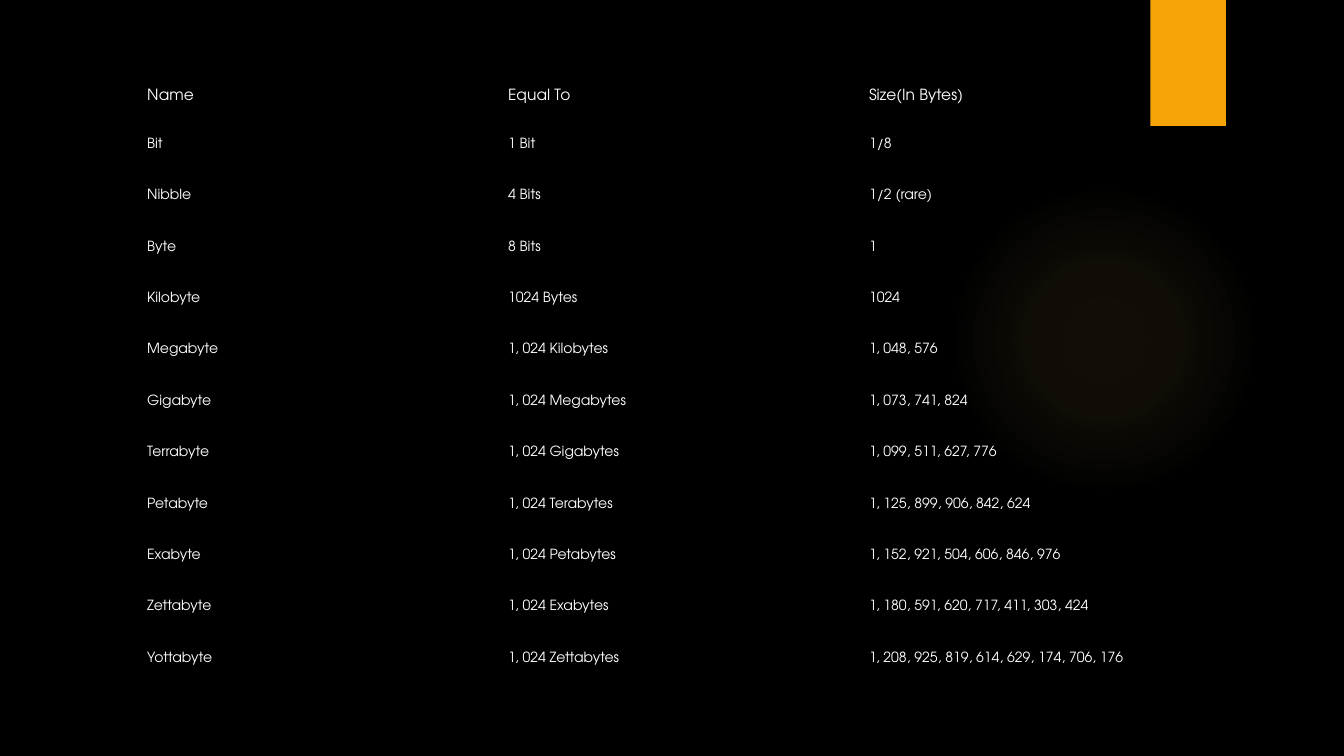
from pptx import Presentation
from pptx.dml.color import RGBColor
from pptx.enum.shapes import MSO_SHAPE as Shape
from pptx.enum.text import MSO_ANCHOR as Anchor
from pptx.oxml import parse_xml
from pptx.oxml.ns import nsdecls, qn
from pptx.util import Inches, Pt

BLACK = RGBColor(0x00, 0x00, 0x00)
WHITE = RGBColor(0xFF, 0xFF, 0xFF)
ORANGE = RGBColor(0xF5, 0xA4, 0x08)
GLOW = RGBColor(0xFA, 0xC9, 0x6A)
NO_STYLE_NO_GRID = "{2D5ABB26-0587-4C30-8999-92F81FD0307C}"

UNITS = [
    ("Name", "Equal To", "Size(In Bytes)"),
    ("Bit", "1 Bit", "1/8"),
    ("Nibble", "4 Bits", "1/2 (rare)"),
    ("Byte", "8 Bits", "1"),
    ("Kilobyte", "1024 Bytes", "1024"),
    ("Megabyte", "1, 024 Kilobytes", "1, 048, 576"),
    ("Gigabyte", "1, 024 Megabytes", "1, 073, 741, 824"),
    ("Terrabyte", "1, 024 Gigabytes", "1, 099, 511, 627, 776"),
    ("Petabyte", "1, 024 Terabytes", "1, 125, 899, 906, 842, 624"),
    ("Exabyte", "1, 024 Petabytes", "1, 152, 921, 504, 606, 846, 976"),
    ("Zettabyte", "1, 024 Exabytes", "1, 180, 591, 620, 717, 411, 303, 424"),
    ("Yottabyte", "1, 024 Zettabytes", "1, 208, 925, 819, 614, 629, 174, 706, 176"),
]


class SlideBuilder:
    font = "TeX Gyre Adventor"
    header_size, body_size = Pt(11), Pt(10)
    header_height, body_height = Inches(0.45), Inches(0.51)
    side_inset = header_inset = Inches(0.08)
    body_inset = Inches(0.12)

    def __init__(self, slide):
        self.slide = slide

    def background(self, color):
        fill = self.slide.background.fill
        fill.solid()
        fill.fore_color.rgb = color

    def block(self, kind, left, top, width, height, color):
        block = self.slide.shapes.add_shape(
            kind, Inches(left), Inches(top), Inches(width), Inches(height))
        block.shadow.inherit = False
        block.line.fill.background()
        block.fill.solid()
        block.fill.fore_color.rgb = color
        return block

    def glow(self, left, top, diameter, color, stops):
        """Circle whose colour fades outwards; stops are (position %, opacity %)."""
        circle = self.block(Shape.OVAL, left, top, diameter, diameter, color)
        stop_xml = "".join(
            f'<a:gs pos="{position * 1000}"><a:srgbClr val="{color}">'
            f'<a:alpha val="{opacity * 1000}"/></a:srgbClr></a:gs>'
            for position, opacity in stops)
        gradient = parse_xml(
            f'<a:gradFill {nsdecls("a")}><a:gsLst>{stop_xml}</a:gsLst>'
            '<a:path path="circle"><a:fillToRect l="50000" t="50000" '
            'r="50000" b="50000"/></a:path></a:gradFill>')
        properties = circle.element.spPr
        properties.replace(properties.find(qn("a:solidFill")), gradient)

    def table(self, left, top, column_width, rows):
        columns = len(rows[0])
        height = self.header_height + self.body_height * (len(rows) - 1)
        frame = self.slide.shapes.add_table(
            len(rows), columns, Inches(left), Inches(top),
            Inches(column_width * columns), height)
        table = frame.table
        table.first_row = table.horz_banding = False
        next(frame.element.iter(qn("a:tableStyleId"))).text = NO_STYLE_NO_GRID
        for column in table.columns:
            column.width = Inches(column_width)
        for index, values in enumerate(rows):
            is_header = index == 0
            table.rows[index].height = self.header_height if is_header else self.body_height
            for cell, value in zip(table.rows[index].cells, values):
                self.cell(cell, value, is_header)

    def cell(self, cell, value, is_header):
        cell.fill.background()
        cell.vertical_anchor = Anchor.MIDDLE
        cell.margin_left = cell.margin_right = self.side_inset
        cell.margin_top = cell.margin_bottom = (
            self.header_inset if is_header else self.body_inset)
        cell.text_frame.text = value
        font = cell.text_frame.paragraphs[0].runs[0].font
        font.name = self.font
        font.size = self.header_size if is_header else self.body_size
        font.color.rgb = WHITE


def main():
    deck = Presentation()
    deck.slide_width, deck.slide_height = Inches(13.33), Inches(7.5)
    blank_layout = deck.slide_layouts[6]
    builder = SlideBuilder(deck.slides.add_slide(blank_layout))

    # Backdrop
    builder.background(BLACK)
    builder.glow(9.41, 1.83, 3.08, GLOW, [(0, 7), (36, 6), (69, 0)])
    builder.block(Shape.RECTANGLE, 11.41, 0, 0.75, 1.25, ORANGE)

    # Units of data
    builder.table(1.38, 0.73, 3.58, UNITS)

    deck.save("out.pptx")


if __name__ == "__main__":
    main()
